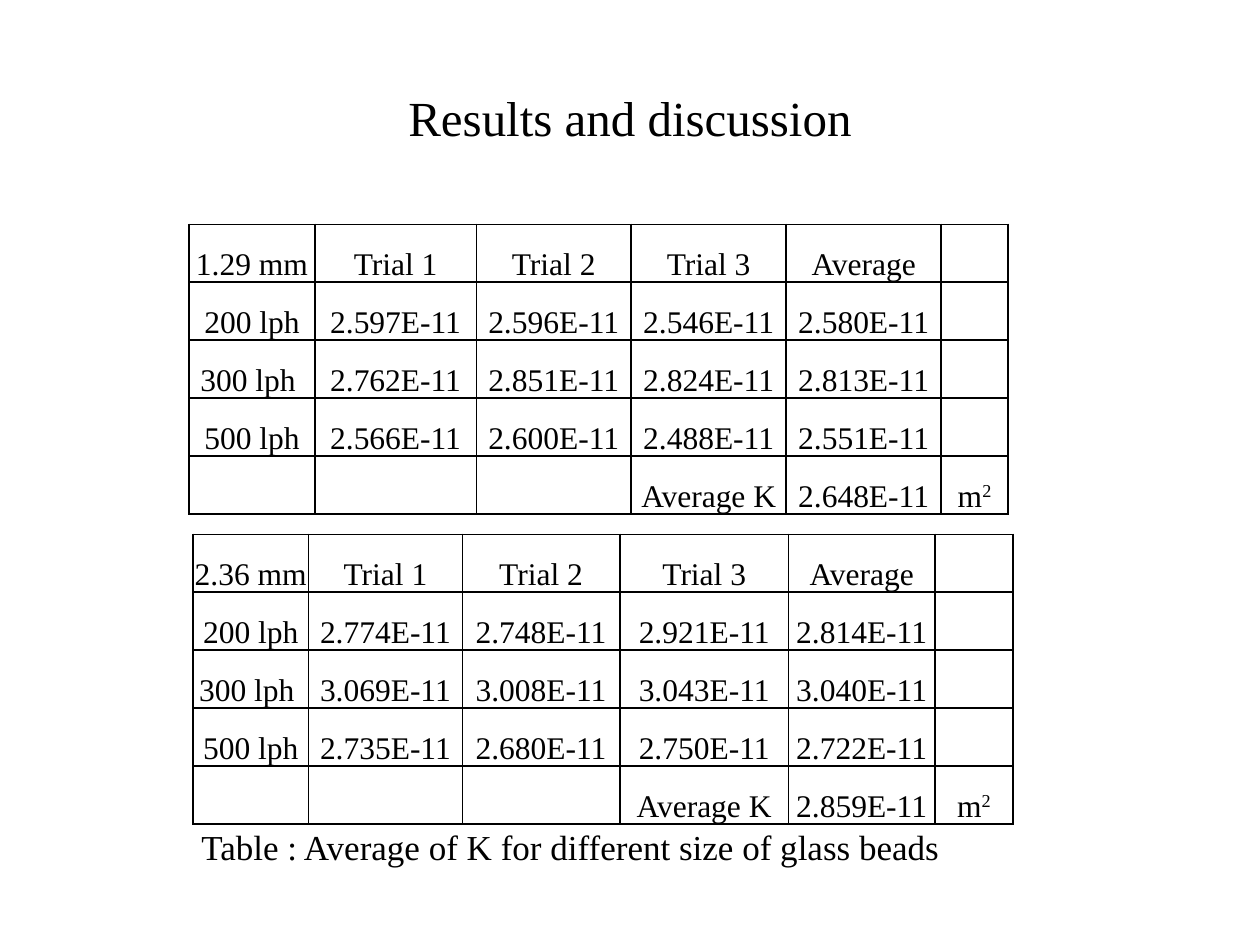
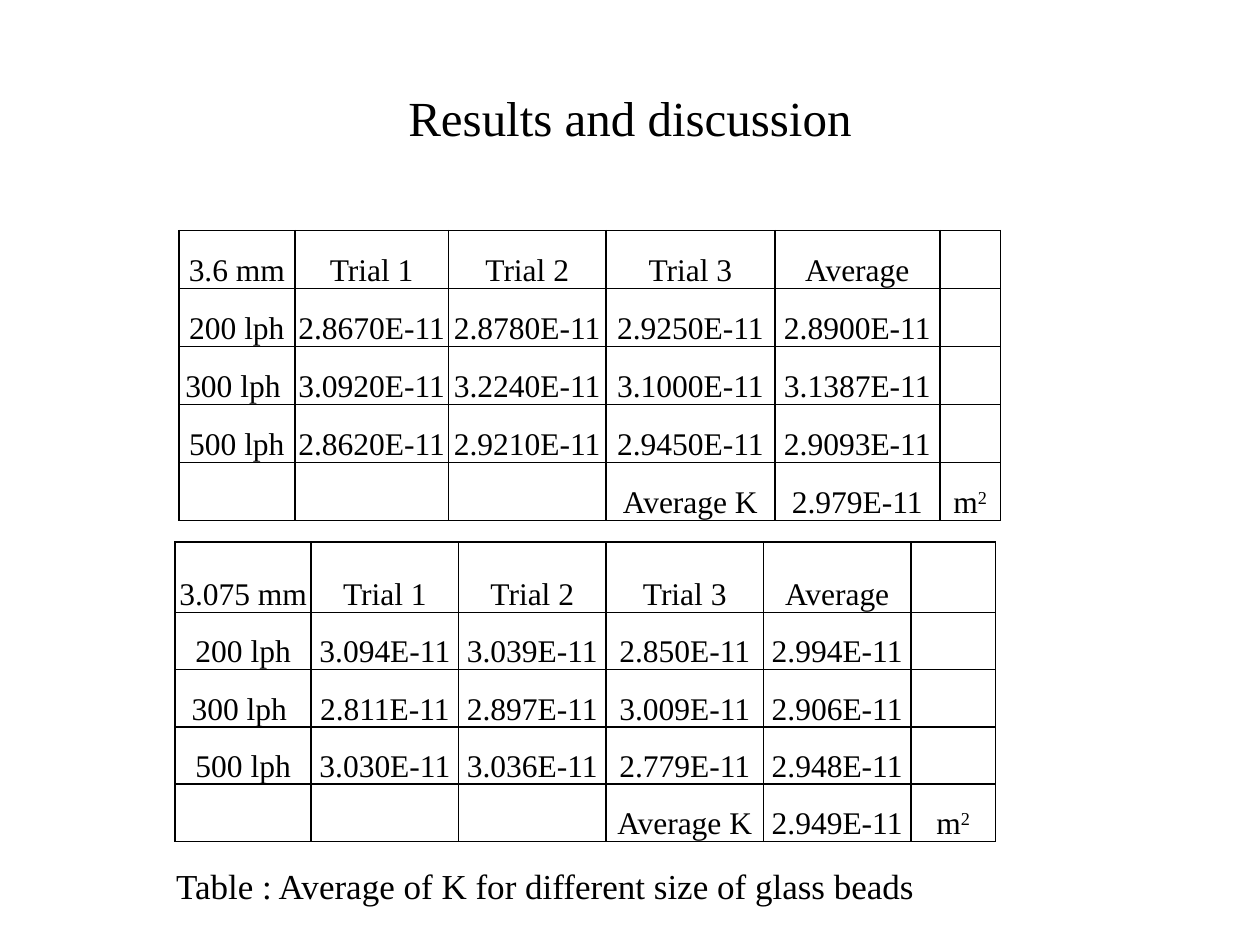
"""Build two slides of permeability results for glass beads of four sizes."""
from dataclasses import dataclass
from typing import Any

from lxml.etree import SubElement as Sub
from pptx import Presentation
from pptx.dml.color import RGBColor as Rgb
from pptx.enum.text import MSO_ANCHOR as Anchor, MSO_AUTO_SIZE as Fit, PP_ALIGN as Align
from pptx.oxml.ns import qn
from pptx.util import Inches, Pt

HUES = {"ink": "000000", "page": "FFFFFF"}
FACE = "Times New Roman"
SIZES = {"title": 28, "note": 20, "cell": 18}
TITLE = "Results and discussion"
NOTE = "Table : Average of K for different size of glass beads"
HEAD = ["Trial 1", "Trial 2", "Trial 3", "Average", ""]
FLOWS = ["200 lph", "300 lph ", "500 lph"]
CELL = {
    "margin_left": Inches(0.01),
    "margin_right": Inches(0.01),
    "margin_top": Inches(0.01),
    "margin_bottom": Inches(0),
    "vertical_anchor": Anchor.BOTTOM,
}
FRAME = {"word_wrap": True, "auto_size": Fit.NONE, "vertical_anchor": Anchor.MIDDLE}
GROW = {"word_wrap": True, "auto_size": Fit.SHAPE_TO_FIT_TEXT, "vertical_anchor": Anchor.TOP}


@dataclass
class Grid:
    bead: str
    left: float
    top: float
    cols: list[float]
    vals: list[str]
    mean: str
    first: float = 0.46
    rest: float = 0.46

    def rows(self) -> list[list[str]]:
        body = [[flow, *line.split(), ""] for flow, line in zip(FLOWS, self.vals)]
        return [[self.bead, *HEAD], *body, ["", "", "", "Average K", self.mean, "m"]]


@dataclass
class Page:
    grids: list[Grid]
    left: float
    top: float


PAGES = [
    Page([
        Grid("2.36 mm", 1.53, 4.24, [0.92, 1.22, 1.25, 1.34, 1.16, 0.62], [
            "2.774E-11 2.748E-11 2.921E-11 2.814E-11",
            "3.069E-11 3.008E-11 3.043E-11 3.040E-11",
            "2.735E-11 2.680E-11 2.750E-11 2.722E-11",
        ], "2.859E-11"),
        Grid("1.29 mm", 1.5, 1.78, [1, 1.28, 1.23, 1.23, 1.23, 0.53], [
            "2.597E-11 2.596E-11 2.546E-11 2.580E-11",
            "2.762E-11 2.851E-11 2.824E-11 2.813E-11",
            "2.566E-11 2.600E-11 2.488E-11 2.551E-11",
        ], "2.648E-11"),
    ], 1.5, 6.5),
    Page([
        Grid("3.6 mm", 1.42, 1.83, [0.92, 1.22, 1.25, 1.34, 1.31, 0.48], [
            "2.8670E-11 2.8780E-11 2.9250E-11 2.8900E-11",
            "3.0920E-11 3.2240E-11 3.1000E-11 3.1387E-11",
            "2.8620E-11 2.9210E-11 2.9450E-11 2.9093E-11",
        ], "2.979E-11"),
        Grid("3.075 mm", 1.39, 4.3, [1.08, 1.17, 1.17, 1.25, 1.17, 0.67], [
            "3.094E-11 3.039E-11 2.850E-11 2.994E-11",
            "2.811E-11 2.897E-11 3.009E-11 2.906E-11",
            "3.030E-11 3.036E-11 2.779E-11 2.948E-11",
        ], "2.949E-11", 0.56, 0.455),
    ], 1.3, 6.81),
]


def apply(item: Any, form: dict[str, Any]) -> None:
    for name, value in form.items():
        setattr(item, name, value)


def write(para: Any, text: str, kind: str) -> Any:
    run = para.add_run()
    run.text = text
    apply(run.font, {"name": FACE, "size": Pt(SIZES[kind])})
    run.font.color.rgb = Rgb.from_string(HUES["ink"])
    return run


def label(slide: Any, box: tuple[float, ...], text: str, kind: str,
          form: dict[str, Any], align: Align) -> None:
    frame = slide.shapes.add_textbox(*map(Inches, box)).text_frame
    apply(frame, form)
    para = frame.paragraphs[0]
    para.alignment = align
    write(para, text, kind)


def edge(cell: Any) -> None:
    props = cell._tc.get_or_add_tcPr()
    for side in ("lnL", "lnR", "lnT", "lnB"):
        line = Sub(props, qn(f"a:{side}"), w=str(Pt(1)))
        Sub(Sub(line, qn("a:solidFill")), qn("a:srgbClr"), val=HUES["ink"])


def fill(cell: Any, text: str) -> None:
    edge(cell)
    cell.fill.background()
    apply(cell, CELL)
    para = cell.text_frame.paragraphs[0]
    para.alignment = Align.CENTER
    if text:
        write(para, text, "cell")
    if text == "m":
        power = write(para, "2", "cell")
        power._r.get_or_add_rPr().set("baseline", "30000")


def draw(slide: Any, grid: Grid) -> None:
    rows = grid.rows()
    highs = [grid.first] + [grid.rest] * (len(rows) - 1)
    box = grid.left, grid.top, sum(grid.cols), sum(highs)
    table = slide.shapes.add_table(len(rows), len(grid.cols), *map(Inches, box)).table
    apply(table, {"first_row": False, "horz_banding": False})
    for col, wide in zip(table.columns, grid.cols):
        col.width = Inches(wide)
    for row, high, texts in zip(table.rows, highs, rows):
        row.height = Inches(high)
        for cell, text in zip(row.cells, texts):
            fill(cell, text)


def main() -> None:
    deck = Presentation()
    apply(deck, {"slide_width": Inches(10), "slide_height": Inches(7.5)})
    for page in PAGES:
        slide = deck.slides.add_slide(deck.slide_layouts[6])
        back = slide.background.fill
        back.solid()
        back.fore_color.rgb = Rgb.from_string(HUES["page"])
        label(slide, (0.5, 0.3, 9, 1.25), TITLE, "title", FRAME, Align.CENTER)
        for grid in page.grids:
            draw(slide, grid)
        label(slide, (page.left, page.top, 6.75, 0.44), NOTE, "note", GROW, Align.LEFT)
    deck.save("out.pptx")


if __name__ == "__main__":
    main()
